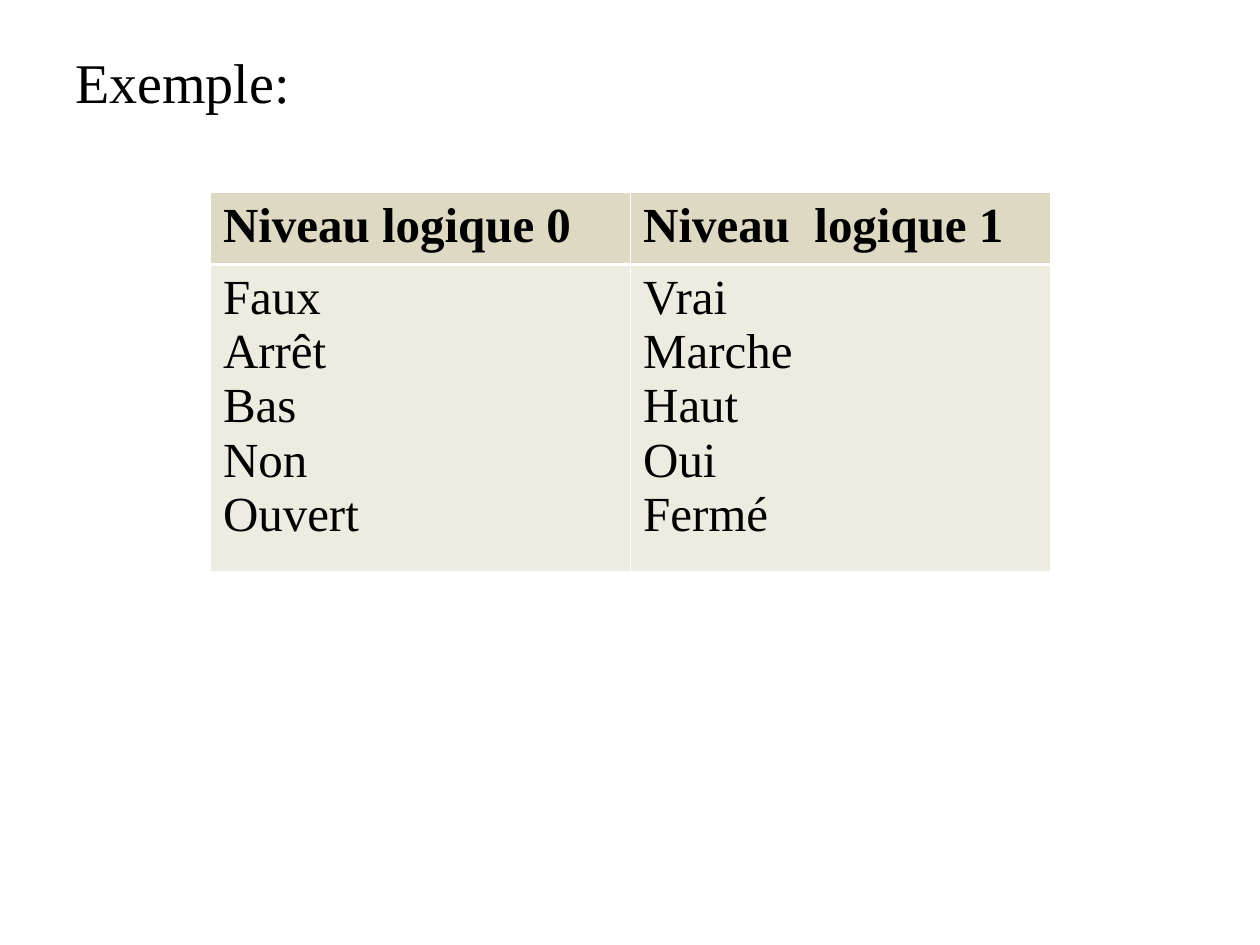
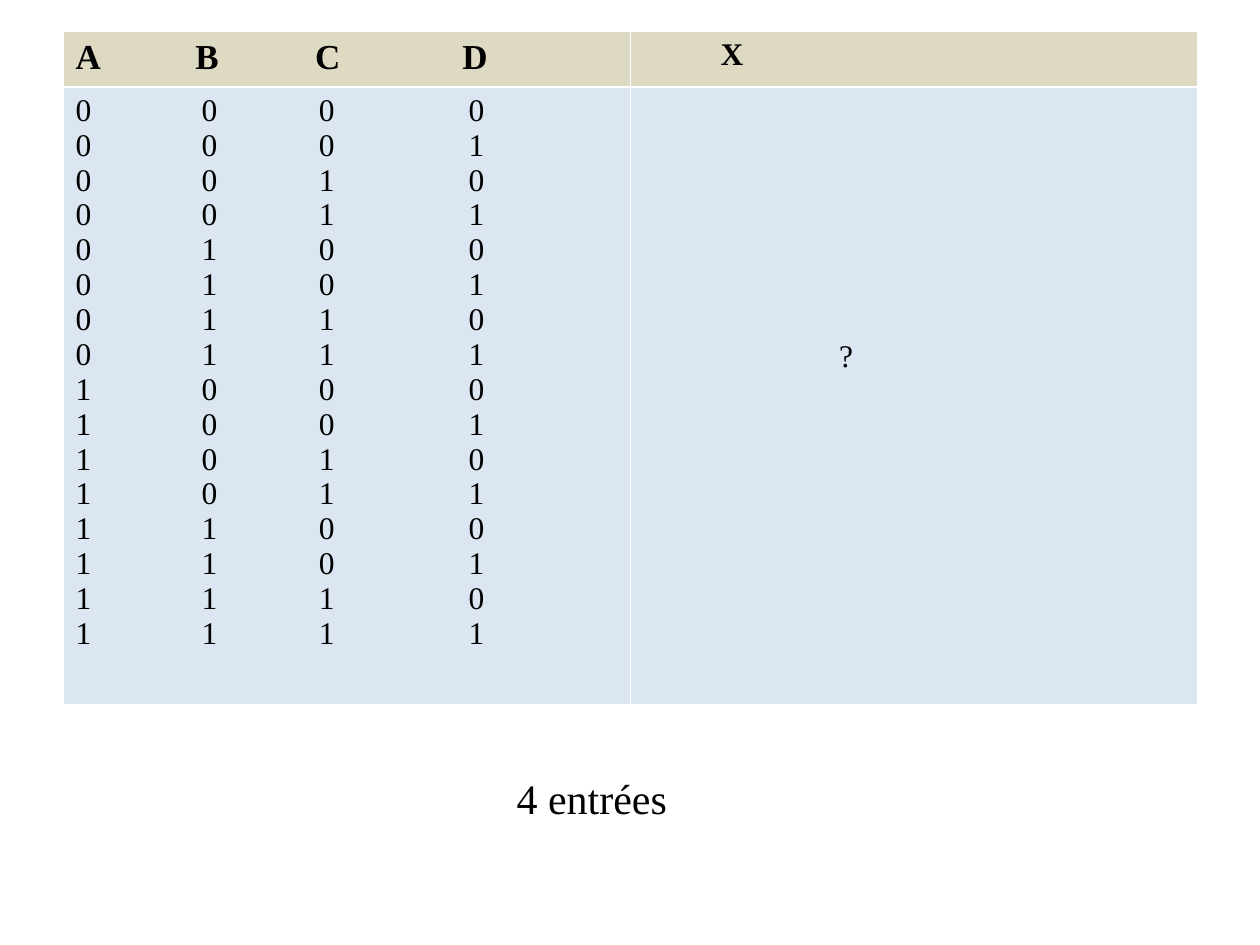
from dataclasses import dataclass, field
from itertools import product

from lxml import etree
from pptx import Presentation
from pptx.dml.color import RGBColor
from pptx.enum.text import MSO_ANCHOR
from pptx.oxml.ns import qn
from pptx.util import Inches, Pt

TOP = MSO_ANCHOR.TOP
FONT = "Times New Roman"
COLORS = {"ink": "000000", "line": "FFFFFF", "head": "DDD9C3",
          "sand": "EEECE1", "sky": "DCE6F2"}
THIN, THICK = 0.45, 1.47
PAD = {"margin_left": 0.1, "margin_top": 0.05,
       "margin_right": 0.1, "margin_bottom": 0.05}


@dataclass
class Text:
    lines: list[str]
    size: int
    bold: bool = False
    tabs: tuple[float, ...] = ()
    pad: dict[str, float] = field(default_factory=dict)


@dataclass
class Label:
    box: tuple[float, float, float, float]
    text: Text


@dataclass
class Grid:
    box: tuple[float, float, float, float]
    rows: tuple[float, float]
    fill: str
    cells: list[list[Text]]


def set_all(item, values: dict) -> None:
    for name, value in values.items():
        setattr(item, name, value)


def rgb(name: str) -> RGBColor:
    return RGBColor.from_string(COLORS[name])


def set_tabs(para, stops: tuple[float, ...]) -> None:
    props = para._p.get_or_add_pPr()
    tabs = etree.SubElement(props, qn("a:tabLst"))
    for stop in stops:
        etree.SubElement(tabs, qn("a:tab"), pos=str(Inches(stop)), algn="l")


def write(owner, frame, text: Text) -> None:
    pads = PAD | text.pad
    set_all(owner, {side: Inches(size) for side, size in pads.items()})
    for i, line in enumerate(text.lines):
        para = frame.add_paragraph() if i else frame.paragraphs[0]
        if text.tabs:
            set_tabs(para, text.tabs)
        run = para.add_run()
        run.text = line
        set_all(run.font, {"name": FONT, "size": Pt(text.size), "bold": text.bold})
        run.font.color.rgb = rgb("ink")


def add_label(slide, label: Label) -> None:
    shape = slide.shapes.add_textbox(*map(Inches, label.box))
    frame = shape.text_frame
    set_all(frame, {"word_wrap": True, "vertical_anchor": TOP})
    write(frame, frame, label.text)


def set_edges(cell, head: bool) -> None:
    props = cell._tc.get_or_add_tcPr()
    widths = {"L": THIN, "R": THIN, "T": THIN if head else THICK,
              "B": THICK if head else THIN}
    for side, width in widths.items():
        line = etree.SubElement(props, qn(f"a:ln{side}"), w=str(Pt(width)))
        fill = etree.SubElement(line, qn("a:solidFill"))
        etree.SubElement(fill, qn("a:srgbClr"), val=COLORS["line"])


def add_grid(slide, grid: Grid) -> None:
    count = len(grid.cells[0])
    table = slide.shapes.add_table(len(grid.rows), count,
                                   *map(Inches, grid.box)).table
    set_all(table, {"first_row": False, "horz_banding": False})
    for r, (height, texts) in enumerate(zip(grid.rows, grid.cells)):
        table.rows[r].height = Inches(height)
        for c, text in enumerate(texts):
            cell = table.cell(r, c)
            write(cell, cell.text_frame, text)
            set_edges(cell, r == 0)
            cell.fill.solid()
            cell.fill.fore_color.rgb = rgb(grid.fill if r else "head")


TITLE = Label((0.5, 0.33, 9, 6.37), Text(["Exemple:"], 32))
LEVELS = Grid((1.67, 1.53, 6.67, 3), (0.57, 2.43), "sand", [
    [Text(["Niveau logique 0"], 28, True),
     Text(["Niveau  logique 1"], 28, True)],
    [Text(["Faux", "Arrêt", "Bas", "Non", "Ouvert"], 28),
     Text(["Vrai", "Marche", "Haut", "Oui", "Fermé"], 28)],
])
BITS = ["\t".join(bits) for bits in product("01", repeat=4)]
TRUTH = Grid((0.5, 0.25, 9, 5.33), (0.44, 4.9), "sky", [
    [Text(["\t".join("ABCD")], 20, True, (0.95, 1.9, 3.07)),
     Text(["X"], 18, True, pad={"margin_left": 0.72})],
    [Text(BITS, 18, tabs=(1, 1.93, 3.12)),
     Text(["?"], 18, pad={"margin_left": 1.66, "margin_top": 2})],
])
NOTE = Label((3.92, 6.08, 1.47, 0.5),
             Text(["4 entrées"], 24,
                  pad={"margin_left": 0.18, "margin_right": 0}))


def main() -> None:
    deck = Presentation()
    set_all(deck, {"slide_width": Inches(10), "slide_height": Inches(7.5)})
    for label, grid in ((TITLE, LEVELS), (NOTE, TRUTH)):
        slide = deck.slides.add_slide(deck.slide_layouts[6])
        add_label(slide, label)
        add_grid(slide, grid)
    deck.save("out.pptx")


if __name__ == "__main__":
    main()
